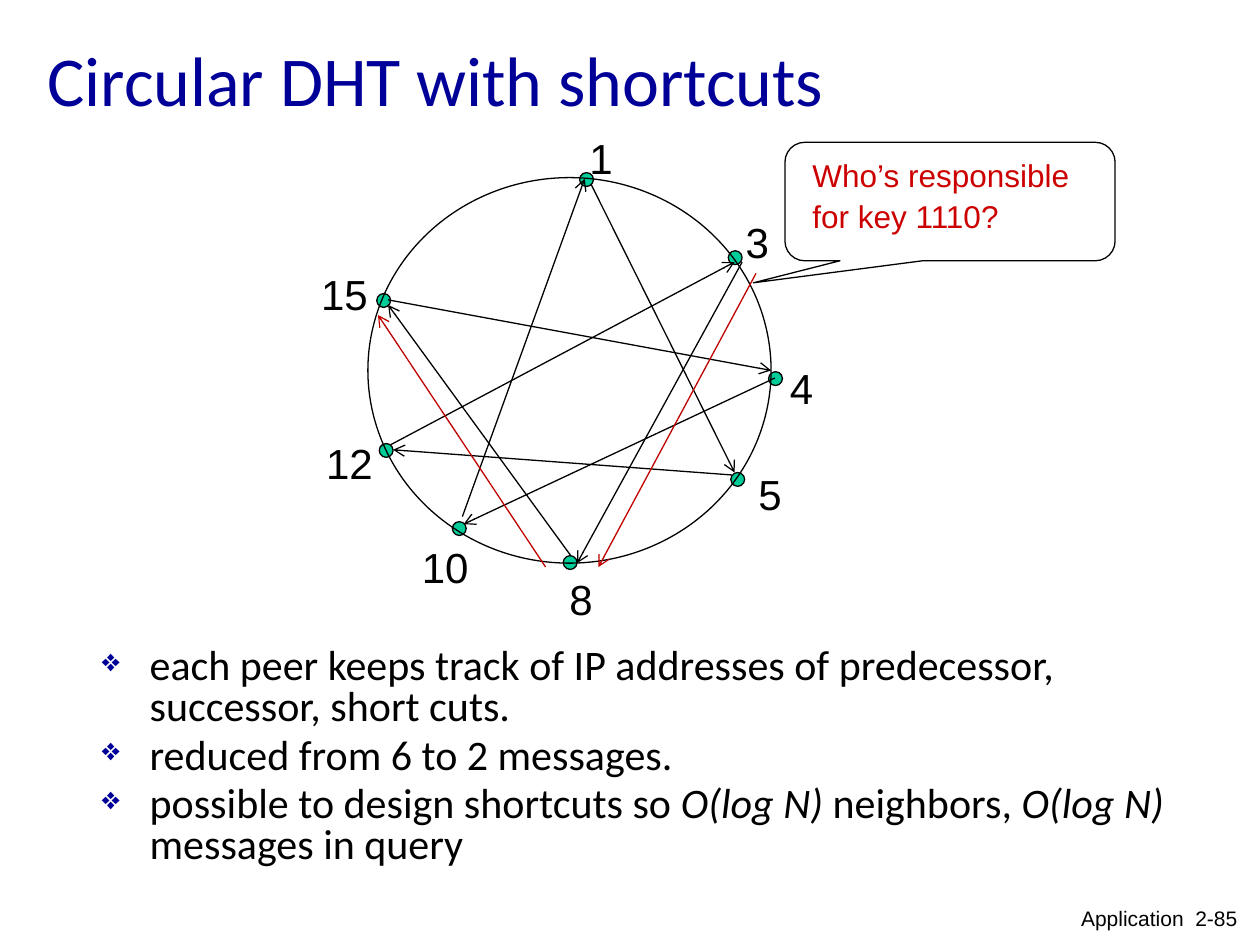
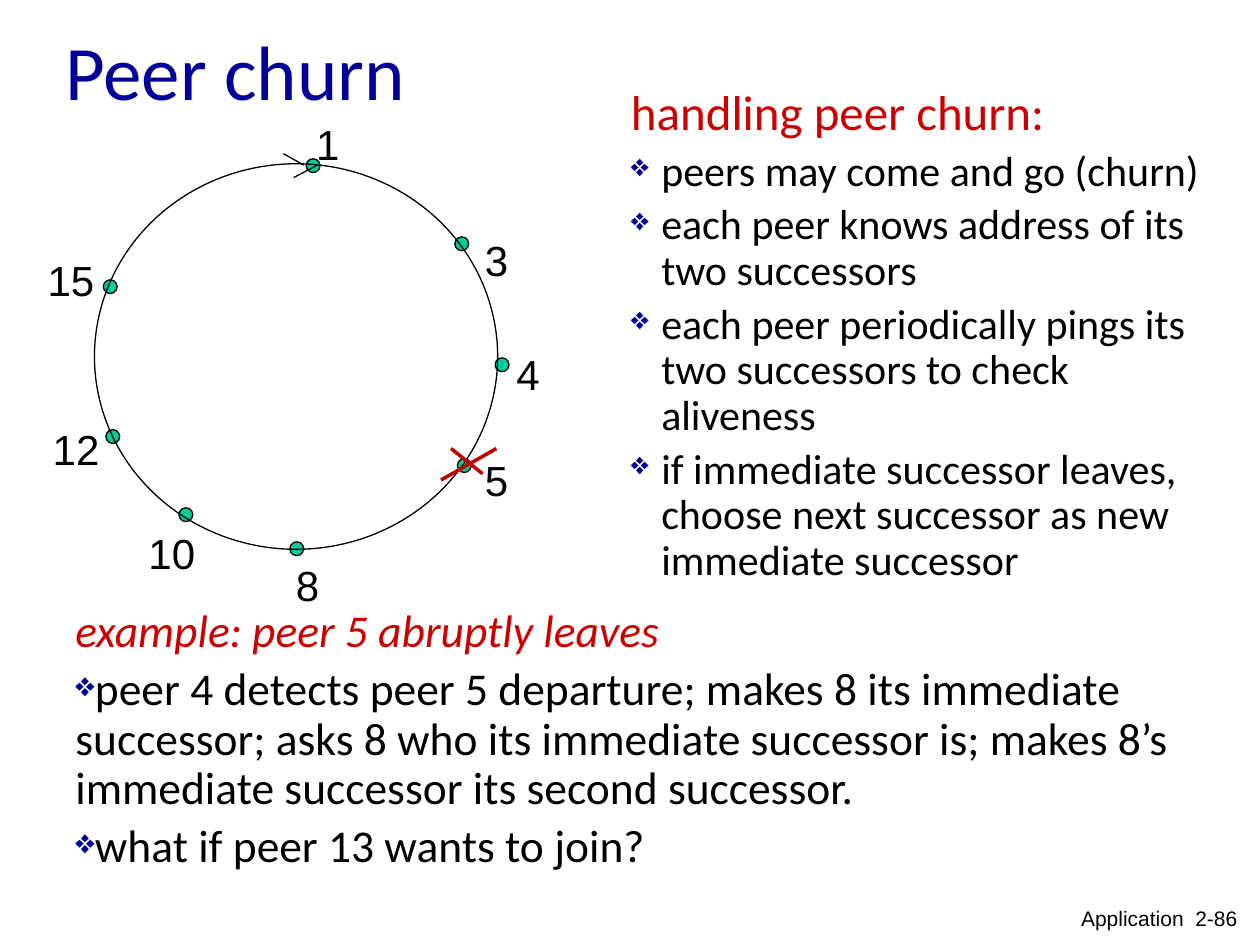
from dataclasses import dataclass, replace
from typing import Any

from lxml.etree import SubElement
from pptx import Presentation
from pptx.dml.color import RGBColor
from pptx.enum.shapes import MSO_CONNECTOR, MSO_SHAPE
from pptx.enum.text import MSO_ANCHOR, PP_ALIGN
from pptx.oxml.ns import qn
from pptx.util import Inches, Pt

COLORS = {
    "title": "000099",
    "ink": "000000",
    "accent": "CC0000",
    "signal": "C00000",
    "peer": "00CC99",
}

# Peer number: (dot position, label position), both from the ring's top left corner
PEERS = {
    1: ((1.68, -0.04), (1.66, -0.41)),
    3: ((2.86, 0.58), (2.90, 0.26)),
    4: ((3.18, 1.54), (3.25, 1.42)),
    5: ((2.88, 2.34), (3.00, 2.26)),
    8: ((1.55, 3.00), (1.50, 3.09)),
    10: ((0.67, 2.73), (0.33, 2.84)),
    12: ((0.09, 2.11), (-0.43, 2.01)),
    15: ((0.07, 0.92), (-0.47, 0.67)),
}
RING_SIZE = (3.2, 3.06)
DOT_SIZE = 0.11

SHORTCUT_RING = (2.92, 1.41)
SHORTCUTS = [
    ((6.15, 3.00), (3.68, 4.16)),
    ((5.81, 3.77), (3.12, 3.57)),
    ((4.53, 4.41), (3.08, 2.42)),
    ((3.67, 4.10), (4.64, 1.42)),
    ((3.10, 3.53), (5.83, 2.08)),
    ((3.08, 2.38), (6.12, 2.94)),
    ((4.69, 1.46), (5.83, 3.75)),
    ((5.89, 2.08), (4.58, 4.47)),
]
QUERY_STEPS = [((6.00, 2.17), (4.75, 4.50)), ((4.33, 4.50), (3.00, 2.50))]
QUESTION = ["Who’s responsible", "for key 1110?"]
# A tuple alternates plain and italic spans
SHORTCUT_NOTES = [
    "each peer keeps track of IP addresses of predecessor, successor, short cuts.",
    "reduced from 6 to 2 messages.",
    ("possible to design shortcuts so ", "O(log N) ", "neighbors, ", "O(log N) ", "messages in query"),
]

CHURN_RING = (0.75, 1.30)
CHURN_LABEL_MOVES = {3: (3.00, 0.51)}
RING_ARROWHEAD = [((2.25, 1.22), (2.41, 1.31)), ((2.52, 1.31), (2.33, 1.41))]
DEPARTED_CROSS = [((3.58, 3.56), (3.83, 3.76)), ((3.94, 3.56), (3.50, 3.81))]
CHURN_HEADING = "handling peer churn:"
CHURN_RULES = [
    "peers may come and go (churn)",
    "each peer knows address of its two successors",
    "each peer periodically pings its \vtwo successors to check aliveness",
    "if immediate successor leaves, choose next successor as new immediate successor",
]
EXAMPLE_HEADING = "example: peer 5 abruptly leaves"
EXAMPLE_STEPS = [
    "peer 4 detects peer 5 departure; makes 8 its immediate successor; "
    "asks 8 who its immediate successor is; makes 8’s immediate successor its second successor.",
    "what if peer 13 wants to join?",
]


@dataclass(frozen=True)
class TextStyle:
    size: float
    font: str = "Calibri"
    color: str = "ink"
    italic: bool = False
    line_spacing: Any = None
    spaced: bool = True
    bullet: bool = False
    hanging: float = 0
    align: Any = PP_ALIGN.LEFT


PEER_LABEL = TextStyle(24, "Arial")
QUESTION_STYLE = TextStyle(18, "Arial", "accent", line_spacing=Pt(20))
FOOTER = TextStyle(12, "Arial", spaced=False, align=PP_ALIGN.RIGHT)
SHORTCUT_NOTE = TextStyle(24, line_spacing=0.8, bullet=True, hanging=0.38)
CHURN_TITLE = TextStyle(28, color="accent")
CHURN_RULE = TextStyle(24, line_spacing=Pt(26), bullet=True, hanging=0.24)
EXAMPLE_STEP = TextStyle(26, line_spacing=0.9, bullet=True)
EXAMPLE_TITLE = replace(EXAMPLE_STEP, color="accent", italic=True, bullet=False)


def rgb(name):
    return RGBColor.from_string(COLORS[name])


def add_bullet(para, hanging):
    properties = para._p.get_or_add_pPr()
    properties.set("marL", str(Inches(hanging)))
    properties.set("indent", str(-Inches(hanging)))
    color = SubElement(properties, qn("a:buClr"))
    SubElement(color, qn("a:srgbClr"), val=COLORS["title"])
    SubElement(properties, qn("a:buSzPct"), val="75000")
    SubElement(properties, qn("a:buChar"), char="❖")


def write_paragraph(para, content, style):
    if isinstance(content, tuple):
        for text in content:
            para.add_run().text = text
    else:
        para.text = content
    para.alignment = style.align
    para.line_spacing = style.line_spacing
    para.space_before = Pt(style.size * 0.2 if style.spaced else 0)
    if style.bullet:
        add_bullet(para, style.hanging)
    for index, span in enumerate(para.runs):
        span.font.name = style.font
        span.font.size = Pt(style.size)
        span.font.color.rgb = rgb(style.color)
        span.font.italic = style.italic or (isinstance(content, tuple) and index % 2 == 1)


def add_text(slide, area, paragraphs, anchor=MSO_ANCHOR.TOP, wrap=True):
    """Add a text box; paragraphs holds (content, style) pairs."""
    box = slide.shapes.add_textbox(*map(Inches, area))
    frame = box.text_frame
    frame.word_wrap = wrap
    frame.vertical_anchor = anchor
    for index, (content, style) in enumerate(paragraphs):
        para = frame.add_paragraph() if index else frame.paragraphs[0]
        write_paragraph(para, content, style)


def styled(contents, style):
    return [(content, style) for content in contents]


def add_outlined(slide, kind, area, fill=None):
    shape = slide.shapes.add_shape(kind, *map(Inches, area))
    shape.shadow.inherit = False
    shape.line.color.rgb = rgb("ink")
    shape.line.width = Pt(0.75)
    if fill:
        shape.fill.solid()
        shape.fill.fore_color.rgb = rgb(fill)
    else:
        shape.fill.background()
    return shape


def add_lines(slide, segments, color="ink", width=0.75, arrow=False):
    for start, end in segments:
        line = slide.shapes.add_connector(MSO_CONNECTOR.STRAIGHT, *map(Inches, start + end))
        line.line.color.rgb = rgb(color)
        line.line.width = Pt(width)
        properties = line._element.spPr
        if arrow:
            SubElement(properties.find(qn("a:ln")), qn("a:tailEnd"), type="arrow")
        SubElement(properties, qn("a:effectLst"))


def add_ring(slide, origin, label_moves=None):
    left, top = origin
    for (x, y), _ in PEERS.values():
        add_outlined(slide, MSO_SHAPE.OVAL, (left + x, top + y, DOT_SIZE, DOT_SIZE), "peer")
    add_outlined(slide, MSO_SHAPE.OVAL, origin + RING_SIZE)
    for peer, (_, label) in PEERS.items():
        x, y = (label_moves or {}).get(peer, label)
        width = 0.39 if peer < 10 else 0.58
        add_text(slide, (left + x, top + y, width, 0.5), [(str(peer), PEER_LABEL)], wrap=False)


def add_page(deck, title, area, size, number):
    slide = deck.slides.add_slide(deck.slide_layouts[6])
    style = TextStyle(size, color="title", spaced=False)
    add_text(slide, area, [(title, style)], MSO_ANCHOR.MIDDLE)
    add_text(slide, (8.33, 7.14, 1.59, 0.31), [(f"Application  2-{number}", FOOTER)])
    return slide


def build_shortcuts(deck):
    slide = add_page(deck, "Circular DHT with shortcuts", (0.28, 0, 9, 1.25), 40, 85)
    add_text(slide, (0.71, 5.1, 9, 1.83), styled(SHORTCUT_NOTES, SHORTCUT_NOTE))
    add_ring(slide, SHORTCUT_RING)
    add_lines(slide, SHORTCUTS, arrow=True)
    add_lines(slide, QUERY_STEPS, "signal", arrow=True)
    callout = add_outlined(slide, MSO_SHAPE.ROUNDED_RECTANGULAR_CALLOUT, (6.23, 1.13, 2.62, 0.94))
    for index, value in enumerate((-0.596, 0.686, 0.167)):
        callout.adjustments[index] = value
    add_text(slide, (6.35, 1.21, 2.6, 0.73), styled(QUESTION, QUESTION_STYLE))


def build_churn(deck):
    slide = add_page(deck, "Peer churn", (0.42, 0, 9, 1.11), 44, 86)
    example = [(EXAMPLE_HEADING, EXAMPLE_TITLE)] + styled(EXAMPLE_STEPS, EXAMPLE_STEP)
    add_text(slide, (0.5, 4.78, 9, 2.33), example)
    add_ring(slide, CHURN_RING, CHURN_LABEL_MOVES)
    add_lines(slide, RING_ARROWHEAD)
    add_lines(slide, DEPARTED_CROSS, "signal", 2)
    rules = [(CHURN_HEADING, CHURN_TITLE)] + styled(CHURN_RULES, CHURN_RULE)
    add_text(slide, (4.91, 0.6, 4.84, 4.66), rules)


def main():
    deck = Presentation()
    deck.slide_width, deck.slide_height = Inches(10), Inches(7.5)
    build_shortcuts(deck)
    build_churn(deck)
    deck.save("out.pptx")


if __name__ == "__main__":
    main()
